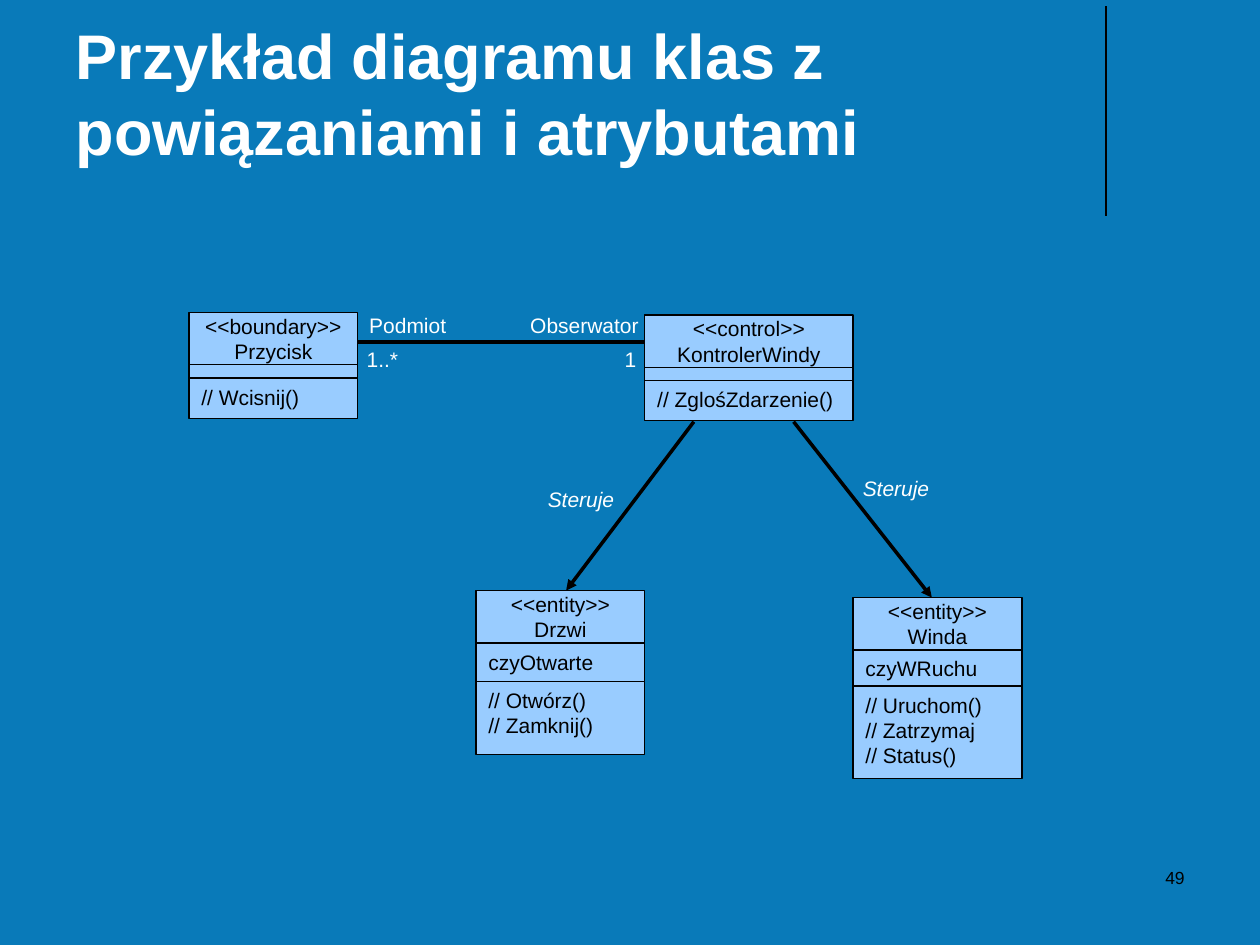
from dataclasses import dataclass

from lxml.etree import SubElement
from pptx import Presentation
from pptx.dml.color import RGBColor as RGB
from pptx.enum.shapes import MSO_CONNECTOR as Link, MSO_SHAPE as Shape
from pptx.enum.text import MSO_ANCHOR as Anchor, MSO_AUTO_SIZE as Fit, PP_ALIGN as Align
from pptx.oxml.ns import qn
from pptx.util import Pt


@dataclass(frozen=True)
class Theme:
    font: str = "Arial"
    background: RGB = RGB(0x09, 0x7A, 0xB9)
    box: RGB = RGB(0x99, 0xCC, 0xFF)
    ink: RGB = RGB(0, 0, 0)
    light: RGB = RGB(255, 255, 255)
    title_size: int = 36
    body_size: int = 12
    number_size: int = 10
    hairline: float = 0
    rule: float = 0.75


THEME = Theme()
TITLE = "Przykład diagramu klas z powiązaniami i atrybutami"
PAGE_NUMBER = "49"

CLASSES = [
    dict(at=(108, 178.5), width=96.5, heights=(30, 7.5, 23),
         sections=(["<<boundary>>", "Przycisk"], [], ["// Wcisnij()"])),
    dict(at=(272, 337.5), width=96.5, heights=(30, 22, 41.5),
         sections=(["<<entity>>", "Drzwi"], ["czyOtwarte"],
                   ["// Otwórz()", "// Zamknij()"])),
    dict(at=(487.5, 341.5), width=96.5, heights=(30, 20.5, 53),
         sections=(["<<entity>>", "Winda"], ["czyWRuchu"],
                   ["// Uruchom()", "// Zatrzymaj", "// Status()"])),
    dict(at=(368.5, 180), width=119, heights=(30, 7.5, 23),
         sections=(["<<control>>", "KontrolerWindy"], [], ["// ZglośZdarzenie()"])),
]
SECTION_STYLES = [
    (Anchor.MIDDLE, Align.CENTER),
    (Anchor.MIDDLE, Align.LEFT),
    (Anchor.TOP, Align.LEFT),
]

ROLES = [
    ("Podmiot", 211, 178.5, 44, False),
    ("Obserwator", 303, 178.5, 62, False),
    ("1..*", 209.5, 198, 18, False),
    ("1", 357, 198, 6.5, False),
    ("Steruje", 313, 278, 38, True),
    ("Steruje", 493, 272, 38, True),
]

RELATIONS = [
    ((204.5, 195.5), (368.5, 195.5), False),
    ((396.5, 241), (323.5, 337.5), True),
    ((453.5, 241), (532.5, 341.5), True),
]


def write(frame, lines, size, color, align=Align.LEFT, bold=False, italic=False):
    for index, line in enumerate(lines):
        paragraph = frame.add_paragraph() if index else frame.paragraphs[0]
        paragraph.alignment = align
        run = paragraph.add_run()
        run.text = line
        font = run.font
        font.name, font.size = THEME.font, Pt(size)
        font.bold, font.italic = bold, italic
        font.color.rgb = color


def connect(slide, start, end, weight, arrow=False):
    link = slide.shapes.add_connector(Link.STRAIGHT, *map(Pt, start + end))
    link.line.color.rgb = THEME.ink
    link.line.width = Pt(weight)
    if arrow:
        SubElement(link.line._get_or_add_ln(), qn("a:tailEnd"), type="triangle")
    SubElement(link._element.spPr, qn("a:effectLst"))


def add_title(slide):
    title = slide.shapes.title
    title.left, title.top, title.width, title.height = map(Pt, (36, 9.5, 594, 90))
    title.text_frame.vertical_anchor = Anchor.BOTTOM
    title.text_frame.auto_size = Fit.NONE
    write(title.text_frame, [TITLE], THEME.title_size, THEME.light, bold=True)


def add_class(slide, at, width, heights, sections):
    group = slide.shapes.add_group_shape()
    left, top = at
    for height, lines, (anchor, align) in zip(heights, sections, SECTION_STYLES):
        section = group.shapes.add_shape(
            Shape.RECTANGLE, *map(Pt, (left, top, width, height)))
        section.shadow.inherit = False
        section.fill.solid()
        section.fill.fore_color.rgb = THEME.box
        section.line.color.rgb = THEME.ink
        section.line.width = Pt(THEME.hairline)
        section.text_frame.vertical_anchor = anchor
        write(section.text_frame, lines, THEME.body_size, THEME.ink, align)
        top += height


def add_role(slide, label, left, top, width, italic):
    frame = slide.shapes.add_textbox(*map(Pt, (left, top, width, 14.5))).text_frame
    frame.margin_left = frame.margin_right = frame.margin_top = frame.margin_bottom = 0
    frame.word_wrap = False
    frame.auto_size = Fit.SHAPE_TO_FIT_TEXT
    write(frame, [label], THEME.body_size, THEME.light, italic=italic)


def add_page_number(slide):
    frame = slide.shapes.add_textbox(*map(Pt, (516, 492, 168, 36))).text_frame
    frame.word_wrap = True
    write(frame, [PAGE_NUMBER], THEME.number_size, THEME.ink, Align.RIGHT)


def main():
    deck = Presentation()
    deck.slide_width, deck.slide_height = Pt(720), Pt(540)
    slide = deck.slides.add_slide(deck.slide_layouts[5])
    slide.background.fill.solid()
    slide.background.fill.fore_color.rgb = THEME.background

    connect(slide, (632, 3.5), (632, 123.5), THEME.rule)
    add_title(slide)
    for role in ROLES:
        add_role(slide, *role)
    for uml_class in CLASSES:
        add_class(slide, **uml_class)
    for start, end, arrow in RELATIONS:
        connect(slide, start, end, THEME.hairline, arrow)
    add_page_number(slide)
    deck.save("out.pptx")


if __name__ == "__main__":
    main()
